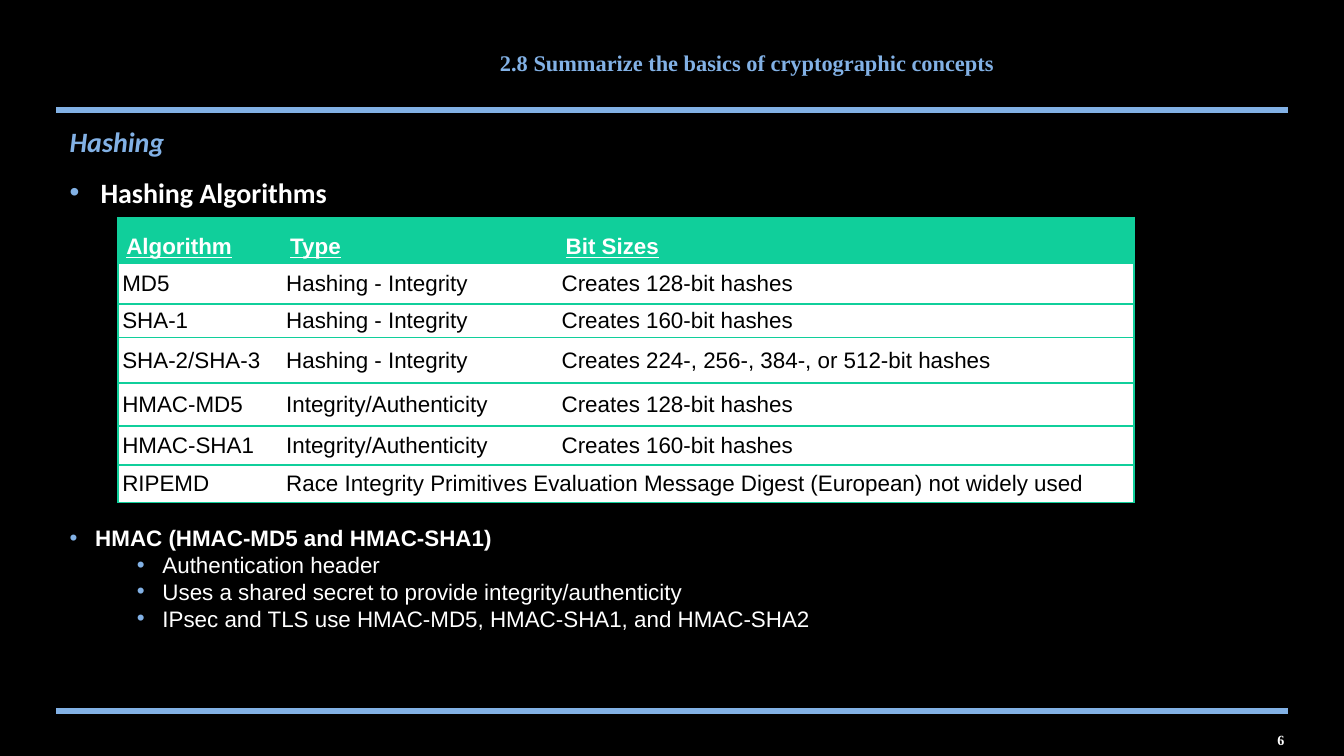
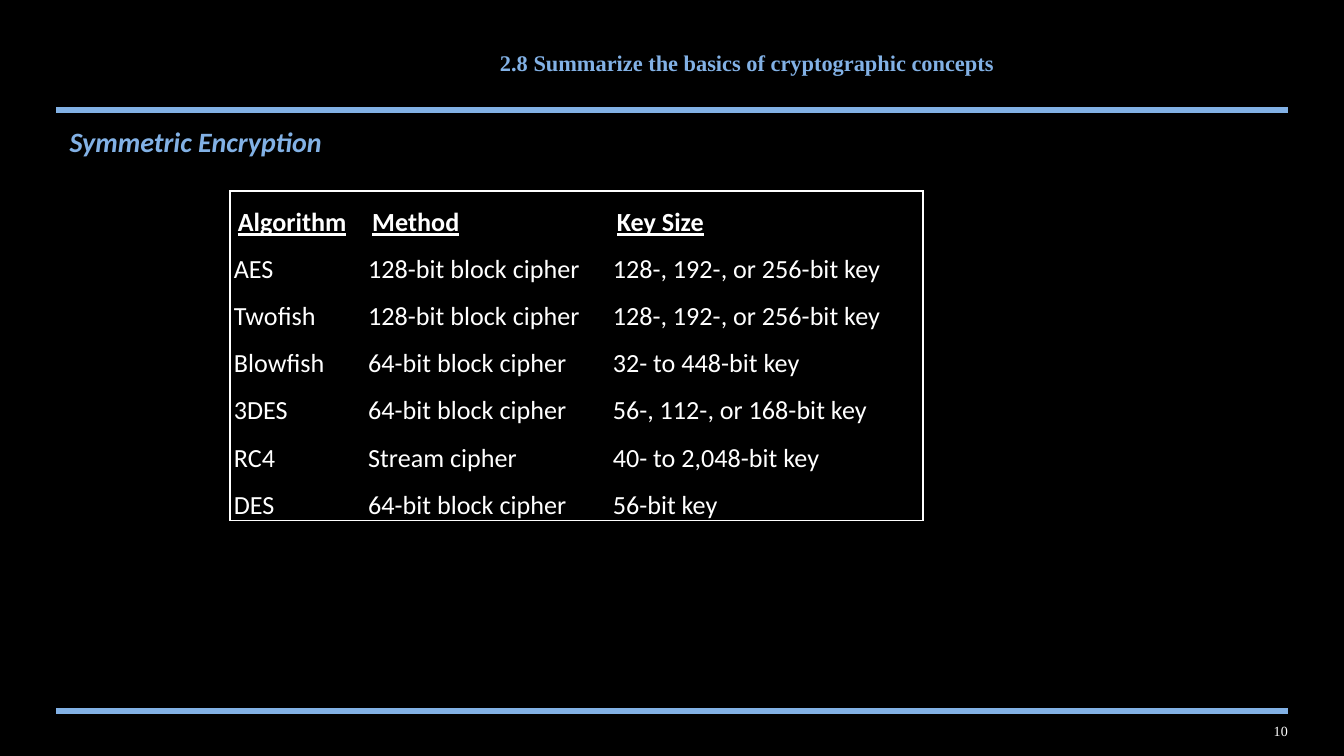
"""Build two slides on hashing and symmetric encryption."""
import copy

import lxml.etree
import pptx
import pptx.dml.color
import pptx.enum.shapes
import pptx.enum.text
import pptx.oxml.ns
import pptx.util

Inches = pptx.util.Inches
Pt = pptx.util.Pt
qn = pptx.oxml.ns.qn
ALIGN = pptx.enum.text.PP_ALIGN
MIDDLE = pptx.enum.text.MSO_ANCHOR.MIDDLE
TOP = pptx.enum.text.MSO_ANCHOR.TOP

BLACK = "000000"
WHITE = "FFFFFF"
BLUE = "82B1E5"
GREEN = "10CF9B"
SERIF = "Times New Roman"
TITLE = "2.8 Summarize the basics of cryptographic concepts"

HASHING_ROWS = [
    ["Algorithm", "Type", "Bit Sizes"],
    ["MD5", "Hashing - Integrity", "Creates 128-bit hashes"],
    ["SHA-1", "Hashing - Integrity", "Creates 160-bit hashes"],
    ["SHA-2/SHA-3", "Hashing - Integrity", "Creates 224-, 256-, 384-, or 512-bit hashes"],
    ["HMAC-MD5", "Integrity/Authenticity", "Creates 128-bit hashes"],
    ["HMAC-SHA1", "Integrity/Authenticity", "Creates 160-bit hashes"],
    ["RIPEMD", "Race Integrity Primitives Evaluation Message Digest (European) not widely used"],
]
CIPHER_ROWS = [
    ["Algorithm", "Method", "Key Size"],
    ["AES", "128-bit block cipher", "128-, 192-, or 256-bit key"],
    ["Twofish", "128-bit block cipher", "128-, 192-, or 256-bit key"],
    ["Blowfish", "64-bit block cipher", "32- to 448-bit key"],
    ["3DES", "64-bit block cipher", "56-, 112-, or 168-bit key"],
    ["RC4", "Stream cipher", "40- to 2,048-bit key"],
    ["DES", "64-bit block cipher", "56-bit key"],
]
HMAC_POINTS = [
    "Authentication header",
    "Uses a shared secret to provide integrity/authenticity",
    "IPsec and TLS use HMAC-MD5, HMAC-SHA1, and HMAC-SHA2",
]


def rgb(color):
    """Turn a hex string into a colour."""
    return pptx.dml.color.RGBColor.from_string(color)


def add_bullet(paragraph, left, hanging):
    """Give a paragraph a blue bullet with a hanging indent."""
    properties = paragraph._p.get_or_add_pPr()
    properties.set("marL", str(Inches(left)))
    properties.set("indent", str(-Inches(hanging)))
    bullet_color = lxml.etree.SubElement(properties, qn("a:buClr"))
    lxml.etree.SubElement(bullet_color, qn("a:srgbClr"), val=BLUE)
    lxml.etree.SubElement(properties, qn("a:buFont"), typeface="Arial")
    lxml.etree.SubElement(properties, qn("a:buChar"), char="•")


def write(frame, text, *, font="Arial", size=12, color=WHITE, bold=False, italic=False,
          underline=False, align=ALIGN.LEFT, before=0, spacing=1.0, bullet=None, level=0):
    """Add one formatted paragraph to a text frame."""
    first = frame.paragraphs[0]
    paragraph = frame.add_paragraph() if first.runs else first
    paragraph.level = level
    if bullet:
        add_bullet(paragraph, *bullet)
    paragraph.alignment = align
    paragraph.space_before = Pt(before)
    paragraph.line_spacing = spacing
    run = paragraph.add_run()
    run.text = text
    run.font.name = font
    run.font.size = Pt(size)
    run.font.bold = bold
    run.font.italic = italic
    run.font.underline = underline
    run.font.color.rgb = rgb(color)


def add_box(slide, left, top, width, height, anchor=TOP):
    """Add a wrapping text box and return its text frame."""
    box = slide.shapes.add_textbox(Inches(left), Inches(top), Inches(width), Inches(height))
    box.text_frame.word_wrap = True
    box.text_frame.vertical_anchor = anchor
    return box.text_frame


def add_rule(slide, top):
    """Draw a blue rule across the slide."""
    rule = slide.shapes.add_connector(pptx.enum.shapes.MSO_CONNECTOR.STRAIGHT,
                                      Inches(0.42), Inches(top), Inches(9.58), Inches(top))
    rule.line.color.rgb = rgb(BLUE)
    rule.line.width = Pt(3)
    lxml.etree.SubElement(rule._element.spPr, qn("a:effectLst"))


def set_borders(cell, color, sides):
    """Draw the named sides of a cell and clear the others."""
    properties = cell._tc.get_or_add_tcPr()
    for position, side in enumerate("LRTB"):
        line = lxml.etree.Element(qn(f"a:ln{side}"), w=str(Pt(1)))
        if side in sides:
            fill = lxml.etree.SubElement(line, qn("a:solidFill"))
            lxml.etree.SubElement(fill, qn("a:srgbClr"), val=color)
        else:
            lxml.etree.SubElement(line, qn("a:noFill"))
        properties.insert(position, line)


def merge_to_end(first, last):
    """Merge two cells and carry the right border over to the merged cell."""
    first.merge(last)
    inner = first._tc.tcPr.find(qn("a:lnR"))
    outer = last._tc.tcPr.find(qn("a:lnR"))
    first._tc.tcPr.replace(inner, copy.deepcopy(outer))


def add_table(slide, rows, left, top, widths, heights, *, frame_height, border, header_fill,
              body_fill, body_color, row_lines, font, size, body_spacing, anchor):
    """Add a framed table, with lines between its rows if wanted."""
    holder = slide.shapes.add_table(len(rows), len(widths), Inches(left), Inches(top),
                                    Inches(sum(widths)), Inches(frame_height))
    table = holder.table
    for column, width in zip(table.columns, widths):
        column.width = Inches(width)
    last_row, last_column = len(rows) - 1, len(widths) - 1
    for row_index, texts in enumerate(rows):
        table.rows[row_index].height = Inches(heights[row_index])
        header = row_index == 0
        for column_index in range(len(widths)):
            cell = table.cell(row_index, column_index)
            cell.margin_left = cell.margin_right = Inches(0.06 if header else 0.03)
            cell.margin_top = cell.margin_bottom = 0
            cell.vertical_anchor = anchor
            cell.fill.solid()
            cell.fill.fore_color.rgb = rgb(header_fill if header else body_fill)
            edges = {"L": column_index == 0, "R": column_index == last_column,
                     "T": row_lines or header, "B": row_lines or row_index == last_row}
            set_borders(cell, border, [side for side, drawn in edges.items() if drawn])
            if column_index < len(texts):
                write(cell.text_frame, texts[column_index], font=font, size=size,
                      bold=header, underline=header, color=WHITE if header else body_color,
                      spacing=1.5 if header else body_spacing)
        if len(texts) < len(widths):
            merge_to_end(table.cell(row_index, len(texts) - 1),
                         table.cell(row_index, last_column))
    holder.height = Inches(frame_height)


def add_topic_slide(presentation, topic, number, number_top, number_bold=False):
    """Add a slide with the shared frame; return it and its body text frame."""
    slide = presentation.slides.add_slide(presentation.slide_layouts[6])
    slide.background.fill.solid()
    slide.background.fill.fore_color.rgb = rgb(BLACK)
    for top in (0.82, 5.29):
        add_rule(slide, top)
    body = add_box(slide, 0.42, 0.88, 9.17, 4.38)
    write(body, topic, font="Calibri", size=15, color=BLUE, bold=True, italic=True)
    write(add_box(slide, 1.52, 0.06, 8.08, 0.81, MIDDLE), TITLE, font=SERIF,
          color=BLUE, bold=True, align=ALIGN.CENTER)
    write(add_box(slide, 9.06, number_top, 0.94, 0.25, MIDDLE), number, font=SERIF,
          size=7.5, bold=number_bold, align=ALIGN.CENTER)
    return slide, body


def add_hashing_slide(presentation):
    """Add the slide on hashing algorithms and HMAC."""
    slide, body = add_topic_slide(presentation, "Hashing", "6", 5.38, number_bold=True)
    write(body, "Hashing Algorithms", font="Calibri", size=15, bold=True, before=9,
          bullet=(0.23, 0.23), level=1)
    add_table(slide, HASHING_ROWS, 0.88, 1.62, [1.22, 2.05, 4.29],
              [0.34, 0.3, 0.25, 0.34, 0.32, 0.29, 0.28], frame_height=2.12, border=GREEN,
              header_fill=GREEN, body_fill=WHITE, body_color=BLACK, row_lines=True,
              font="Arial", size=12, body_spacing=1.0, anchor=MIDDLE)
    notes = add_box(slide, 0.42, 3.85, 8.15, 1.21)
    write(notes, "HMAC (HMAC-MD5 and HMAC-SHA1)", bold=True, bullet=(0.19, 0.19))
    for point in HMAC_POINTS:
        write(notes, point, bullet=(0.69, 0.19), level=1)


def add_encryption_slide(presentation):
    """Add the slide on symmetric ciphers."""
    slide, _ = add_topic_slide(presentation, "Symmetric Encryption", "10", 5.31)
    add_table(slide, CIPHER_ROWS, 1.71, 1.42, [1, 1.82, 2.34], [0.3] * len(CIPHER_ROWS),
              frame_height=2.2, border=WHITE, header_fill=BLACK, body_fill=BLACK,
              body_color=WHITE, row_lines=False, font="Calibri", size=14,
              body_spacing=1.5, anchor=TOP)


def main():
    """Build and save the presentation."""
    presentation = pptx.Presentation()
    presentation.slide_width = Inches(10)
    presentation.slide_height = Inches(10) * 9 // 16
    add_hashing_slide(presentation)
    add_encryption_slide(presentation)
    presentation.save("out.pptx")


if __name__ == "__main__":
    main()
